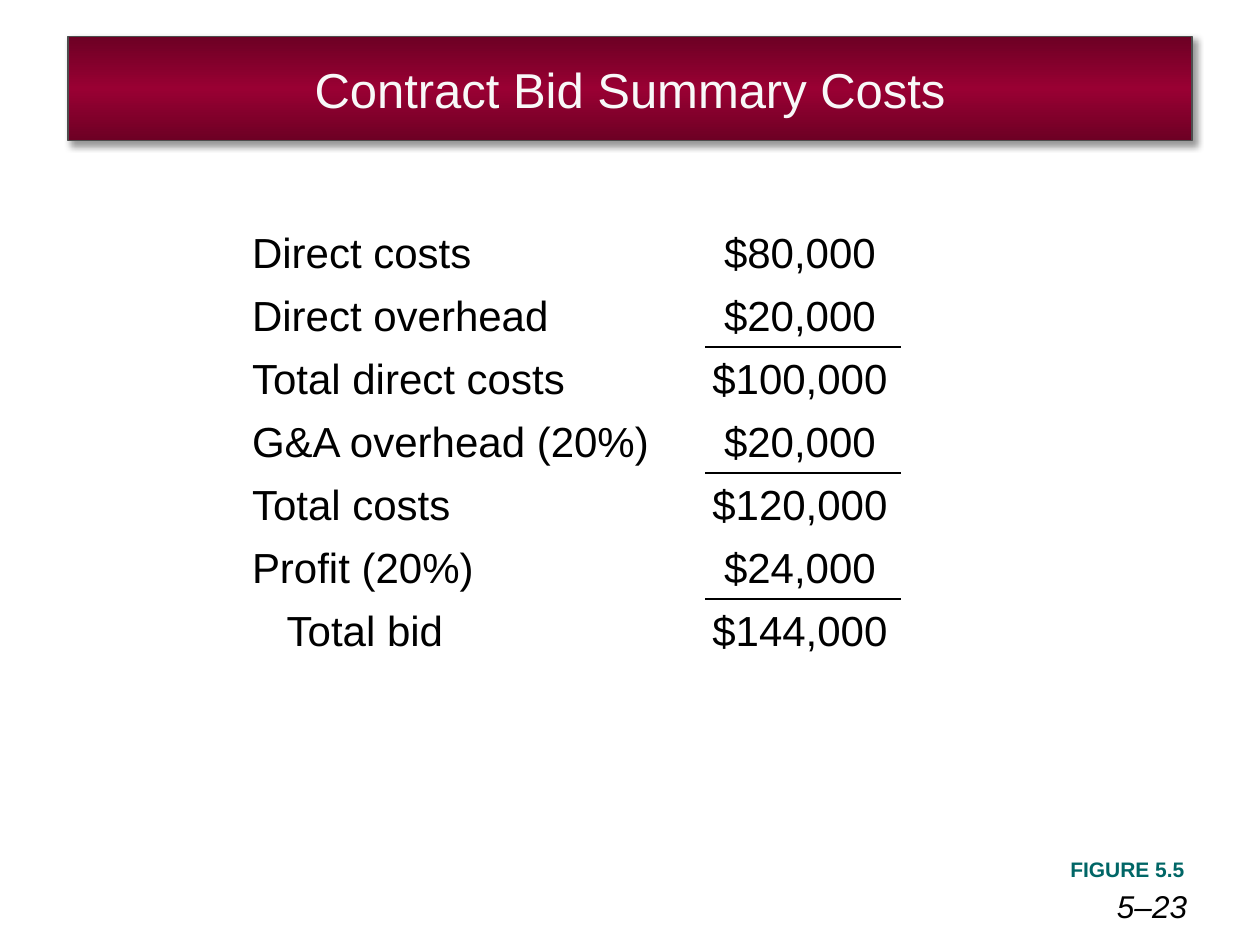
from lxml.etree import SubElement
from pptx import Presentation
from pptx.dml.color import RGBColor
from pptx.enum.shapes import MSO_SHAPE
from pptx.enum.text import MSO_ANCHOR, PP_ALIGN
from pptx.oxml import parse_xml
from pptx.oxml.ns import nsdecls, qn
from pptx.util import Cm, Pt

BLACK = RGBColor(0x00, 0x00, 0x00)
TEAL = RGBColor(0x00, 0x66, 0x66)
OFF_WHITE = RGBColor(0xF8, 0xF8, 0xF8)
GREY = RGBColor(0x4D, 0x4D, 0x4D)
CRIMSON = RGBColor(0x99, 0x00, 0x33)
DARK_CRIMSON = RGBColor(0x6D, 0x00, 0x24)

# label, amount, label indent in cm
COSTS = [
    ("Direct costs", "$80,000 ", 0),
    ("Direct overhead", "$20,000 ", 0),
    ("Total direct costs", "$100,000 ", 0),
    ("G&A overhead (20%)", "$20,000 ", 0),
    ("Total costs", "$120,000 ", 0),
    ("Profit (20%)", "$24,000 ", 0),
    ("Total bid", "$144,000 ", 0.7),
]
SUM_ROWS = (2, 4, 6)


class CostSlide:
    font = "Arial"
    inset = 0.25

    def __init__(self, slide):
        self.slide = slide

    def text_line(self, frame, text, size, color, align, bold=False, italic=False):
        paragraph = frame.paragraphs[0]
        paragraph.alignment = align
        run = paragraph.add_run()
        run.text = text
        font = run.font
        font.name, font.size = self.font, Pt(size)
        font.bold, font.italic = bold, italic
        font.color.rgb = color

    def banner(self, text, left, top, width, height):
        """Title bar with a mirrored vertical gradient and a soft shadow."""
        bar = self.slide.shapes.add_shape(
            MSO_SHAPE.RECTANGLE, Cm(left), Cm(top), Cm(width), Cm(height))
        bar.line.color.rgb = GREY
        bar.line.width = Pt(0.75)
        bar.fill.gradient()
        bar.fill.gradient_angle = 270
        properties = bar._element.spPr
        stops = properties.find(qn("a:gradFill")).find(qn("a:gsLst"))
        stops.clear()
        for percent, color in ((0, DARK_CRIMSON), (50, CRIMSON), (100, DARK_CRIMSON)):
            stop = SubElement(stops, qn("a:gs"), pos=str(percent * 1000))
            SubElement(stop, qn("a:srgbClr"), val=str(color))
        bar.shadow.inherit = False
        properties.find(qn("a:effectLst")).append(parse_xml(
            f'<a:outerShdw {nsdecls("a")} blurRad="{Pt(4)}" dist="{Pt(3)}" '
            f'dir="2700000" algn="tl" rotWithShape="0"><a:srgbClr val="{BLACK}">'
            '<a:alpha val="40000"/></a:srgbClr></a:outerShdw>'))
        frame = bar.text_frame
        frame.word_wrap = True
        frame.vertical_anchor = MSO_ANCHOR.MIDDLE
        self.text_line(frame, text, 28, OFF_WHITE, PP_ALIGN.CENTER)

    def note(self, text, left, top, width, height, size, color, inset=(0, 0), **style):
        """Right-aligned line of text; inset is (sides, top and bottom)."""
        box = self.slide.shapes.add_textbox(Cm(left), Cm(top), Cm(width), Cm(height))
        frame = box.text_frame
        frame.word_wrap = True
        frame.vertical_anchor = MSO_ANCHOR.BOTTOM
        frame.margin_left = frame.margin_right = Cm(inset[0])
        frame.margin_top = frame.margin_bottom = Cm(inset[1])
        self.text_line(frame, text, size, color, PP_ALIGN.RIGHT, **style)

    def cell(self, cell, text, align, left_margin):
        cell.fill.background()
        cell.vertical_anchor = MSO_ANCHOR.BOTTOM
        cell.margin_left = Cm(left_margin)
        cell.margin_right = Cm(self.inset)
        self.text_line(cell.text_frame, text, 24, BLACK, align)

    def rule(self, cell, side):
        """Draw a 1 pt border on one side of a cell: "T" or "B"."""
        cell._tc.get_or_add_tcPr().insert(0, parse_xml(
            f'<a:ln{side} {nsdecls("a")} w="{Pt(1)}"><a:solidFill>'
            f'<a:srgbClr val="{BLACK}"/></a:solidFill></a:ln{side}>'))

    def cost_table(self, left, top, column_widths, row_height):
        table = self.slide.shapes.add_table(
            len(COSTS), len(column_widths), Cm(left), Cm(top),
            Cm(sum(column_widths)), Cm(row_height * len(COSTS))).table
        table.first_row = table.horz_banding = False
        for column, width in zip(table.columns, column_widths):
            column.width = Cm(width)
        for row, (label, amount, indent) in enumerate(COSTS):
            self.cell(table.cell(row, 0), label, PP_ALIGN.LEFT, self.inset + indent)
            self.cell(table.cell(row, 1), amount, PP_ALIGN.RIGHT, 0)
        for row in SUM_ROWS:
            self.rule(table.cell(row - 1, 1), "B")
            self.rule(table.cell(row, 1), "T")


def main():
    deck = Presentation()
    deck.slide_width, deck.slide_height = Cm(25.4), Cm(19.05)
    page = CostSlide(deck.slides.add_slide(deck.slide_layouts[6]))
    page.note("5–23", 18.03, 18.21, 5.9, 0.43, 18, BLACK, italic=True)
    page.banner("Contract Bid Summary Costs", 1.37, 0.74, 22.66, 2.1)
    page.note("FIGURE 5.5", 20.57, 17.15, 3.56, 0.76, 12, TEAL,
              inset=(0.25, 0.13), bold=True)
    page.cost_table(4.83, 4.45, (9.4, 3.91), 1.27)
    deck.save("out.pptx")


if __name__ == "__main__":
    main()
